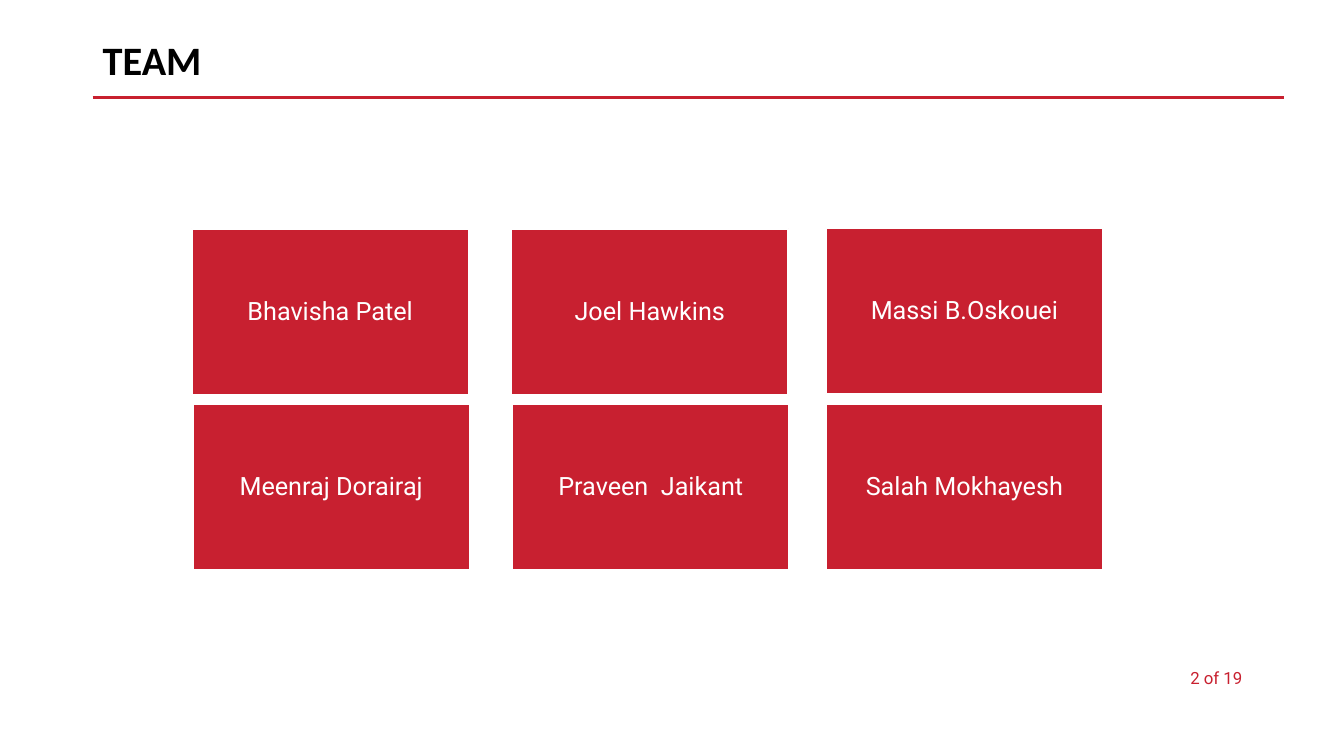
"""Build the team slide with six name cards."""
from lxml import etree
from pptx import Presentation
from pptx import util as u
from pptx.dml.color import RGBColor
from pptx.enum import shapes, text
from pptx.oxml.ns import qn

PX = 9144
COLORS = {"rule": "C8202F", "card": "C82030", "white": "FFFFFF", "black": "000000"}
CARD_WIDTH, CARD_HEIGHT = 275, 165
TEAM = [
    ("Bhavisha Patel", 190, 227),
    ("Joel Hawkins", 507, 227),
    ("Massi B.Oskouei", 819, 226),
    ("Meenraj Dorairaj", 191, 401),
    ("Praveen  Jaikant", 508, 401),
    ("Salah Mokhayesh", 819, 401),
]


def color(name):
    return RGBColor.from_string(COLORS[name])


def write(box, words, size, ink, font="Roboto", bold=False, align=text.PP_ALIGN.LEFT,
          anchor=text.MSO_ANCHOR.MIDDLE, spacing=1.0, inset=None):
    frame = box.text_frame
    frame.word_wrap = True
    frame.vertical_anchor = anchor
    if inset is not None:
        frame.margin_left = frame.margin_right = u.Emu(inset * PX)
        frame.margin_top = frame.margin_bottom = u.Emu(inset * PX)
    para = frame.paragraphs[0]
    para.alignment = align
    para.line_spacing = spacing
    span = para.add_run()
    span.text = words
    span.font.name = font
    span.font.size = u.Pt(size)
    span.font.bold = bold
    span.font.color.rgb = color(ink)


class SlideBuilder:
    """Holds the deck and the current page."""

    def __init__(self, width, height):
        self.deck = Presentation()
        self.deck.slide_width, self.deck.slide_height = self.lengths(width, height)
        self.page = self.deck.slides.add_slide(self.deck.slide_layouts[6])

    def lengths(self, *values):
        return [u.Emu(value * PX) for value in values]

    def rule(self, left, right, top):
        line = self.page.shapes.add_connector(
            shapes.MSO_CONNECTOR.STRAIGHT, *self.lengths(left, top, right, top))
        line.line.color.rgb = color("rule")
        line.line.width = u.Pt(2.25)
        etree.SubElement(line._element.spPr, qn("a:effectLst"))

    def label(self, words, left, top, width, height, **style):
        box = self.page.shapes.add_textbox(*self.lengths(left, top, width, height))
        write(box, words, **style)

    def card(self, name, left, top):
        box = self.page.shapes.add_shape(
            shapes.MSO_SHAPE.RECTANGLE,
            *self.lengths(left, top, CARD_WIDTH, CARD_HEIGHT))
        box.shadow.inherit = False
        box.fill.solid()
        box.fill.fore_color.rgb = color("card")
        box.line.color.rgb = color("white")
        box.line.width = u.Pt(1.5)
        write(box, name, size=18, ink="white", align=text.PP_ALIGN.CENTER,
              spacing=0.9, inset=7)


def main():
    builder = SlideBuilder(1333, 750)
    builder.rule(92, 1273, 97)
    builder.label("2 of 19", 942, 654, 300, 36, size=12, ink="rule",
                  align=text.PP_ALIGN.RIGHT)
    builder.label("TEAM", 92, 35, 1014, 51, size=28.8, ink="black", font="Calibri",
                  bold=True, anchor=text.MSO_ANCHOR.TOP, spacing=0.9)
    for name, left, top in TEAM:
        builder.card(name, left, top)
    builder.deck.save("out.pptx")


if __name__ == "__main__":
    main()
